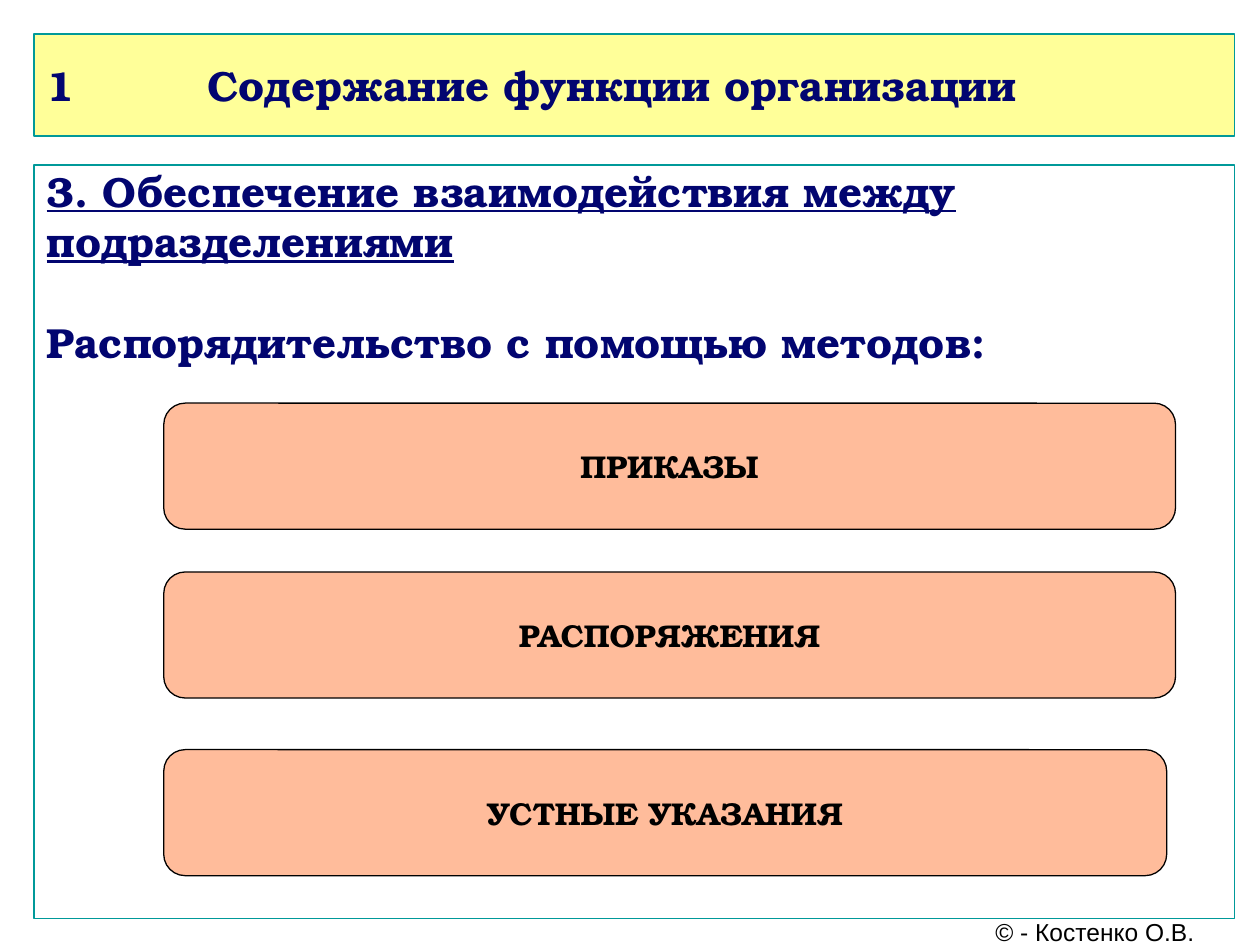
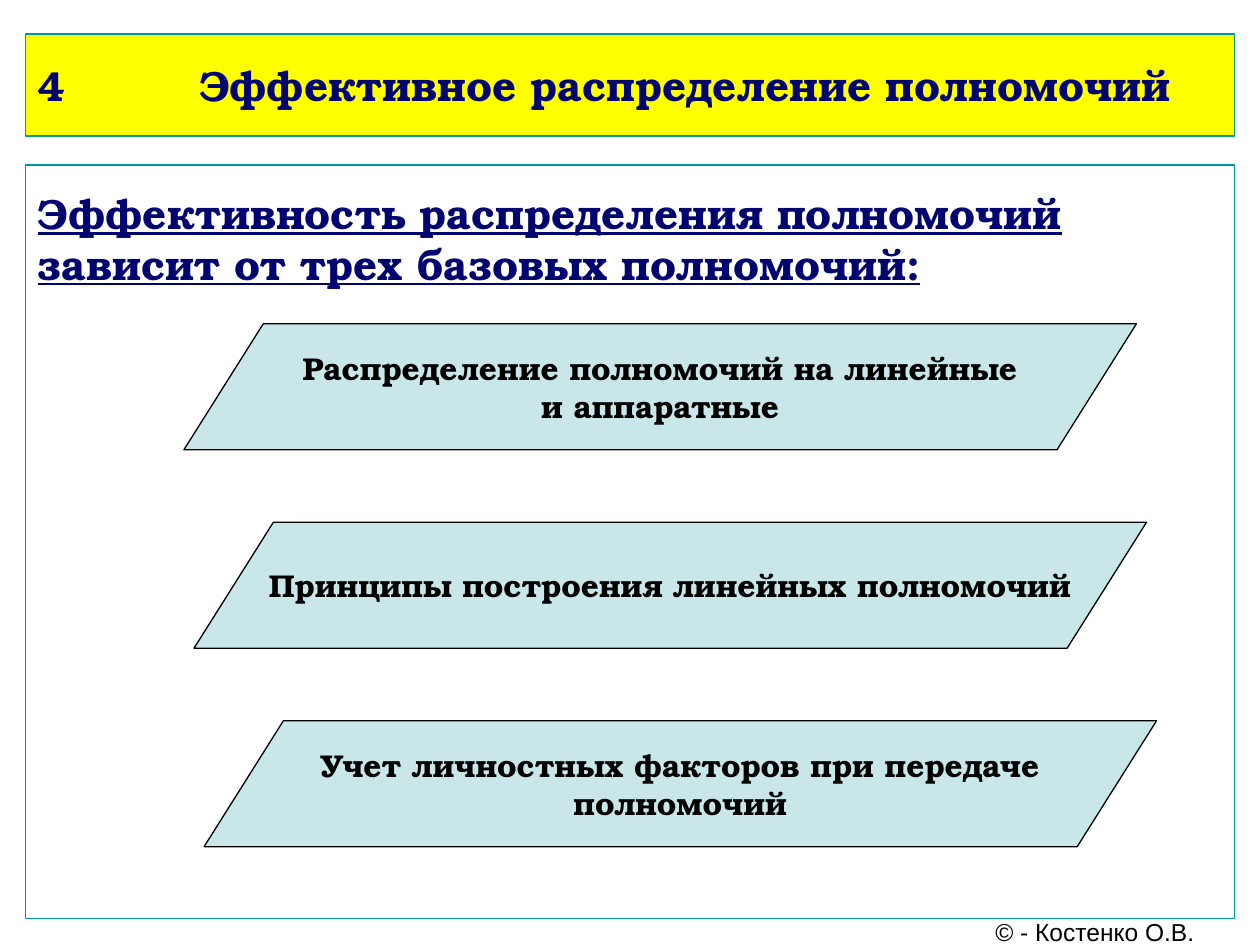
from dataclasses import dataclass

from lxml import etree
from pptx import Presentation
from pptx import util as u
from pptx.dml.color import RGBColor
from pptx.enum import shapes, text
from pptx.oxml.ns import qn


@dataclass(frozen=True)
class Theme:
    serif: str = "TeX Gyre Bonum"
    sans: str = "Arial"
    navy: str = "020570"
    teal: str = "009999"
    black: str = "000000"
    white: str = "FFFFFF"
    pale_yellow: str = "FFFF99"
    yellow: str = "FFFF00"
    peach: str = "FFBC9B"
    pale_blue: str = "C9E7E9"
    heading_size: int = 24
    label_size: int = 18
    footer_size: int = 14
    line_width: float = 0.75


class SlideBuilder:
    """Holds the style and the current slide."""

    right_edge = 9.8

    def __init__(self, deck, theme):
        self.deck = deck
        self.theme = theme
        self.page = None

    def start_page(self):
        self.page = self.deck.slides.add_slide(self.deck.slide_layouts[1])

    def place(self, box, left, top, width, height):
        box.left, box.top = u.Inches(left), u.Inches(top)
        box.width, box.height = u.Inches(width), u.Inches(height)

    def paint(self, box, fill, line):
        box.fill.solid()
        box.fill.fore_color.rgb = RGBColor.from_string(fill)
        box.line.color.rgb = RGBColor.from_string(line)
        box.line.width = u.Pt(self.theme.line_width)

    def set_font(self, para, size, color, name=None, bold=True, underline=False):
        font = para.font
        font.name = name or self.theme.serif
        font.size = u.Pt(size)
        font.bold = bold
        font.underline = underline
        font.color.rgb = RGBColor.from_string(color)

    def set_frame(self, frame, anchor, wrap):
        frame.auto_size = text.MSO_AUTO_SIZE.NONE
        frame.vertical_anchor = anchor
        frame.word_wrap = wrap

    def title(self, number, words, left, fill):
        box = self.page.shapes.title
        self.place(box, left, 0.27, self.right_edge - left, 0.81)
        self.paint(box, fill, self.theme.teal)
        self.set_frame(box.text_frame, text.MSO_ANCHOR.MIDDLE, True)
        para = box.text_frame.paragraphs[0]
        para.text = f"{number}\t\t{words}"
        para.alignment = text.PP_ALIGN.LEFT
        # Hanging indent with tab stops for the number and the words
        properties = para._p.get_or_add_pPr()
        properties.set("marL", str(u.Inches(0.78)))
        properties.set("indent", str(-u.Inches(0.78)))
        tabs = etree.SubElement(properties, qn("a:tabLst"))
        for position in range(2):
            etree.SubElement(tabs, qn("a:tab"), pos=str(u.Inches(position)), algn="l")
        self.set_font(para, self.theme.heading_size, self.theme.navy)

    def body(self, lines, left, top_inset):
        """Fill the framed panel; the first line is underlined."""
        box = self.page.placeholders[1]
        self.place(box, left, 1.31, self.right_edge - left, 5.98)
        self.paint(box, self.theme.white, self.theme.teal)
        frame = box.text_frame
        self.set_frame(frame, text.MSO_ANCHOR.TOP, True)
        frame.margin_top = u.Inches(top_inset)
        frame.text = "\n".join(lines)
        for index, para in enumerate(frame.paragraphs):
            properties = para._p.get_or_add_pPr()
            properties.set("marL", "0")
            properties.set("indent", "0")
            etree.SubElement(properties, qn("a:buNone"))
            para.space_before = u.Pt(29 if index else 0)
            self.set_font(para, self.theme.heading_size, self.theme.navy,
                          underline=index == 0)

    def card(self, kind, words, left, top, width, fill, adjustment):
        box = self.page.shapes.add_shape(
            kind, u.Inches(left), u.Inches(top), u.Inches(width), u.Inches(1))
        box.shadow.inherit = False
        box.adjustments[0] = adjustment
        self.paint(box, fill, self.theme.black)
        self.set_frame(box.text_frame, text.MSO_ANCHOR.MIDDLE, False)
        box.text_frame.text = words
        for para in box.text_frame.paragraphs:
            para.alignment = text.PP_ALIGN.CENTER
            self.set_font(para, self.theme.label_size, self.theme.black)

    def footer(self):
        box = self.page.shapes.add_textbox(
            u.Inches(7.68), u.Inches(7.29), u.Inches(2.02), u.Inches(0.21))
        self.set_frame(box.text_frame, text.MSO_ANCHOR.MIDDLE, False)
        para = box.text_frame.paragraphs[0]
        para.text = "© - Костенко О.В."
        para.alignment = text.PP_ALIGN.CENTER
        self.set_font(para, self.theme.footer_size, self.theme.black,
                      name=self.theme.sans, bold=False)


def add_methods_page(builder):
    theme = builder.theme
    builder.start_page()
    builder.title(1, "Содержание функции организации", 0.27, theme.pale_yellow)
    builder.body(["3. Обеспечение взаимодействия между подразделениями",
                  "Распорядительство с помощью методов:"], 0.27, 0)
    methods = [("ПРИКАЗЫ", 3.2, 8.03),
               ("РАСПОРЯЖЕНИЯ", 4.54, 8.03),
               ("УСТНЫЕ УКАЗАНИЯ", 5.95, 7.96)]
    for words, top, width in methods:
        builder.card(shapes.MSO_SHAPE.ROUNDED_RECTANGLE, words, 1.3, top, width,
                     theme.peach, 0.17)
    builder.footer()


def add_authority_page(builder):
    theme = builder.theme
    builder.start_page()
    builder.title(4, "Эффективное распределение полномочий", 0.2, theme.yellow)
    builder.body(["Эффективность распределения полномочий "
                  "зависит от трех базовых полномочий:"], 0.2, 0.18)
    factors = ["Распределение полномочий на линейные\nи аппаратные",
               "Принципы построения линейных полномочий",
               "Учет личностных факторов при передаче\nполномочий"]
    # Each card steps down and slightly to the right
    for step, words in enumerate(factors):
        builder.card(shapes.MSO_SHAPE.PARALLELOGRAM, words,
                     1.46 + 0.08 * step, 2.57 + 1.575 * step, 7.56,
                     theme.pale_blue, 0.63)
    builder.footer()


def main():
    deck = Presentation()
    deck.slide_width, deck.slide_height = u.Inches(10), u.Inches(7.5)
    builder = SlideBuilder(deck, Theme())
    add_methods_page(builder)
    add_authority_page(builder)
    deck.save("out.pptx")


if __name__ == "__main__":
    main()
